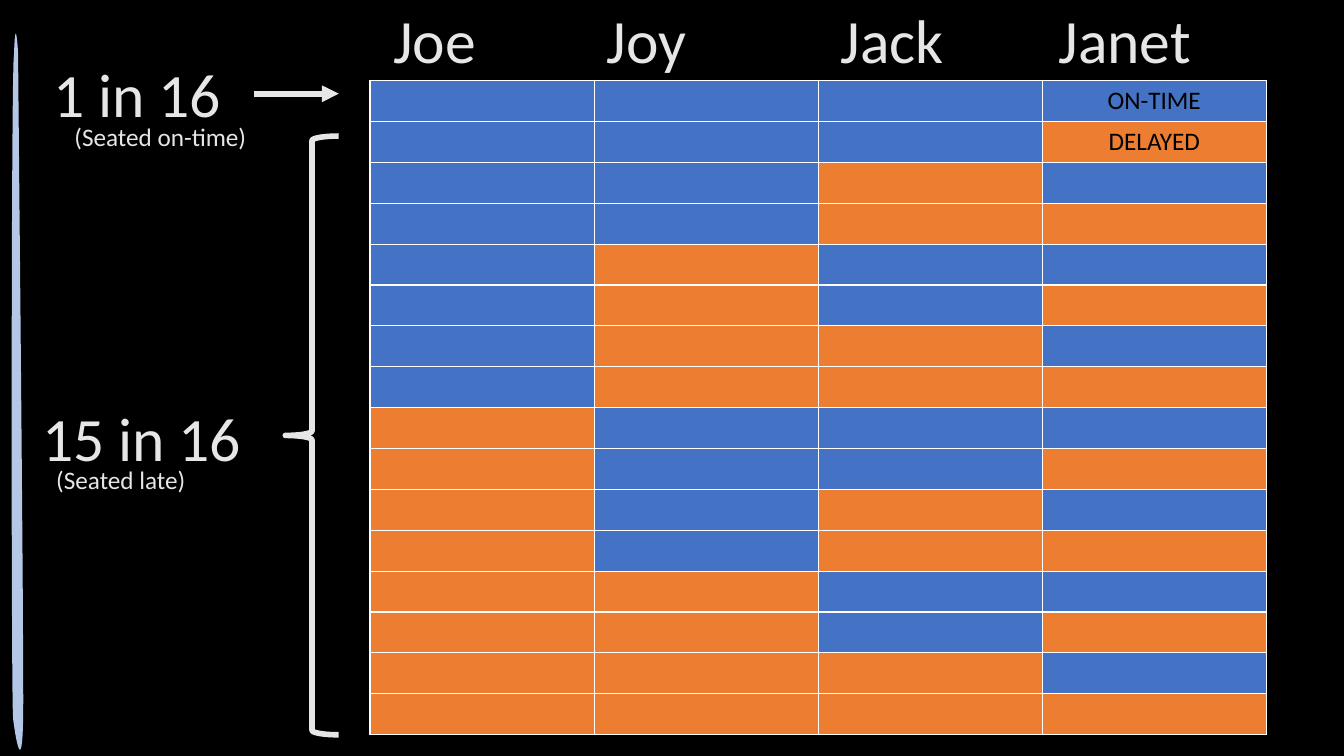
from itertools import product

from lxml import etree
from pptx import Presentation, util as u
from pptx.dml.color import RGBColor
from pptx.enum import shapes, text
from pptx.oxml import parse_xml
from pptx.oxml.ns import nsdecls, qn

BLACK = RGBColor(0x00, 0x00, 0x00)
LIGHT = RGBColor(0xE7, 0xE6, 0xE6)
BLUE = RGBColor(0x44, 0x72, 0xC4)
ORANGE = RGBColor(0xED, 0x7D, 0x31)
PALE_BLUE = RGBColor(0xB4, 0xC7, 0xE7)

SLIVER_START = (0.14, 0.53)
SLIVER_CURVES = [
    ((0.11, 0.53), (0.11, 6.89), (0.13, 7.13)),
    ((0.16, 7.36), (0.22, 7.69), (0.23, 7.13)),
    ((0.24, 6.57), (0.18, 0.72), (0.18, 0.53)),
    ((0.17, 0.35), (0.15, 0.2), (0.14, 0.53)),
]
LABELS = [
    ("1 in 16", 0.43, 0.51, 1.88, 0.84, 44),
    ("Joe", 3.8, -0.03, 1.03, 0.84, 44),
    ("Joy", 5.92, -0.03, 1, 0.84, 44),
    ("Jack", 8.24, -0.03, 1.24, 0.84, 44),
    ("Janet", 10.4, -0.03, 1.53, 0.84, 44),
    ("15 in 16", 0.32, 3.92, 2.2, 0.84, 44),
    ("(Seated on-time)", 0.64, 1.15, 1.93, 0.4, 18),
    ("(Seated late)", 0.46, 4.56, 1.5, 0.4, 18),
]


def curve_points(start, curves, steps=16):
    """Sample a chain of cubic Bezier curves as points in EMU."""
    points = []
    for first, second, end in curves:
        for step in range(1, steps + 1):
            t = step / steps
            weights = ((1 - t) ** 3, 3 * t * (1 - t) ** 2, 3 * t * t * (1 - t), t ** 3)
            controls = (start, first, second, end)
            points.append(tuple(
                u.Inches(sum(w * c[axis] for w, c in zip(weights, controls)))
                for axis in (0, 1)))
        start = end
    return points


class SlideBuilder:
    font_format = {"name": "Calibri", "size": u.Pt(18)}

    def __init__(self, slide):
        self.slide = slide
        self.shapes = slide.shapes
        slide.background.fill.solid()
        slide.background.fill.fore_color.rgb = BLACK

    def style_font(self, font, color, **changes):
        for name, value in {**self.font_format, **changes}.items():
            setattr(font, name, value)
        font.color.rgb = color

    def style_line(self, line):
        line.color.rgb = LIGHT
        line.width = u.Pt(4)

    def label(self, words, left, top, width, height, size):
        box = self.shapes.add_textbox(*map(u.Inches, (left, top, width, height)))
        frame = box.text_frame
        frame.word_wrap = False
        frame.auto_size = text.MSO_AUTO_SIZE.SHAPE_TO_FIT_TEXT
        span = frame.paragraphs[0].add_run()
        span.text = words
        self.style_font(span.font, LIGHT, size=u.Pt(size))

    def sliver(self, start, curves):
        points = curve_points(start, curves)
        builder = self.shapes.build_freeform(*points[-1], scale=1.0)
        builder.add_line_segments(points, close=True)
        shape = builder.convert_to_shape()
        shape.shadow.inherit = False
        shape.fill.solid()
        shape.fill.fore_color.rgb = PALE_BLUE
        shape.line.fill.background()

    def brace(self, left, top, width, height):
        shape = self.shapes.add_shape(
            shapes.MSO_SHAPE.LEFT_BRACE, *map(u.Inches, (left, top, width, height)))
        shape.shadow.inherit = False
        shape.fill.background()
        self.style_line(shape.line)

    def arrow(self, *ends):
        arrow = self.shapes.add_connector(
            shapes.MSO_CONNECTOR.STRAIGHT, *map(u.Inches, ends))
        self.style_line(arrow.line)
        etree.SubElement(arrow.line._get_or_add_ln(), qn("a:tailEnd"), type="triangle")
        etree.SubElement(arrow._element.spPr, qn("a:effectLst"))

    def outcome_table(self, left, top, width, height, captions):
        """Show every combination of on-time (blue) and delayed (orange)."""
        rows = list(product((BLUE, ORANGE), repeat=4))
        frame = self.shapes.add_table(
            len(rows), 4, *map(u.Inches, (left, top, width, height)))
        table = frame.table
        for name in ("first_row", "horz_banding"):
            setattr(table, name, False)
        for row, colors in enumerate(rows):
            for column, color in enumerate(colors):
                self.cell(table.cell(row, column), color, captions.get((row, column)))

    def cell(self, cell, color, caption):
        cell.fill.solid()
        cell.fill.fore_color.rgb = color
        properties = cell._tc.get_or_add_tcPr()
        for index, side in enumerate(("lnL", "lnR", "lnT", "lnB")):
            properties.insert(index, parse_xml(
                f'<a:{side} {nsdecls("a")} w="12700"><a:solidFill>'
                f'<a:srgbClr val="FFFFFF"/></a:solidFill></a:{side}>'))
        if caption:
            para = cell.text_frame.paragraphs[0]
            para.alignment = text.PP_ALIGN.CENTER
            span = para.add_run()
            span.text = caption
            self.style_font(span.font, BLACK)


def main():
    deck = Presentation()
    deck.slide_width, deck.slide_height = u.Inches(13.33), u.Inches(7.5)
    page = SlideBuilder(deck.slides.add_slide(deck.slide_layouts[6]))
    page.sliver(SLIVER_START, SLIVER_CURVES)
    page.outcome_table(3.67, 0.8, 8.89, 6.49, {(0, 3): "ON-TIME", (1, 3): "DELAYED"})
    for label in LABELS:
        page.label(*label)
    page.brace(2.83, 1.35, 0.53, 5.94)
    page.arrow(2.52, 0.93, 3.36, 0.93)
    deck.save("out.pptx")


if __name__ == "__main__":
    main()
